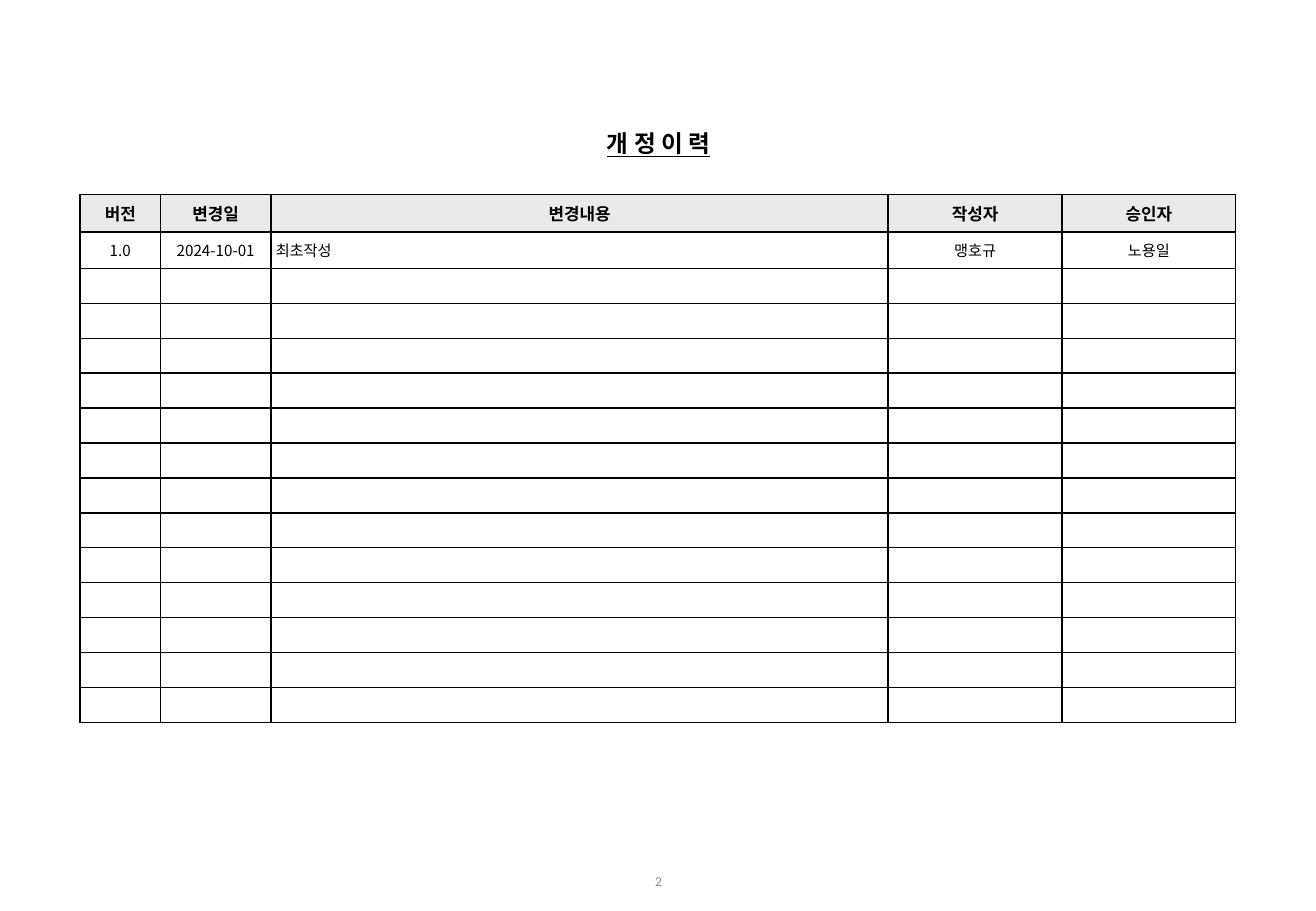
from dataclasses import dataclass

import lxml.etree
import pptx
import pptx.dml.color
import pptx.enum.text
import pptx.oxml.ns
import pptx.util

Inches = pptx.util.Inches
Align = pptx.enum.text.PP_ALIGN
Anchor = pptx.enum.text.MSO_ANCHOR
qn = pptx.oxml.ns.qn


@dataclass(frozen=True)
class Theme:
    ink: str = "000000"
    muted: str = "8C8C8C"
    header_fill: str = "EAEAEA"
    title_font: str = "Arial"
    table_font: str = "Noto Sans CJK KR"
    number_font: str = "Calibri"
    title_size: int = 14
    header_size: int = 10
    body_size: int = 9
    number_size: int = 8
    border: int = 1


THEME = Theme()
HEADERS = ["버전", "변경일", "변경내용", "작성자", "승인자"]
REVISIONS = [["1.0", "2024-10-01", "최초작성", "맹호규", "노용일"]]
BLANK_ROWS = 13
COLUMN_WIDTHS = [0.66, 0.91, 5.08, 1.43, 1.43]
HEADER_HEIGHT, REVISION_HEIGHT = 0.31, 0.3
DESCRIPTION_COLUMN = 2


def rgb(value):
    return pptx.dml.color.RGBColor.from_string(value)


def write(frame, text, font, size, color, bold=False, align=Align.CENTER):
    frame.text = text
    para = frame.paragraphs[0]
    para.alignment = align
    for span in para.runs:
        span.font.name = font
        span.font.size = pptx.util.Pt(size)
        span.font.bold = bold
        span.font.color.rgb = rgb(color)
        east_asian = lxml.etree.SubElement(span.font._element, qn("a:ea"))
        east_asian.set("typeface", THEME.table_font)
    if not para.runs:
        # An empty cell needs its own type size, or the row grows.
        end = lxml.etree.SubElement(para._p, qn("a:endParaRPr"))
        end.set("sz", str(size * 100))


def set_margins(target, side):
    target.margin_left = target.margin_right = Inches(side)
    target.margin_top = target.margin_bottom = 0


def add_borders(cell):
    properties = cell._tc.get_or_add_tcPr()
    for edge in ("lnL", "lnR", "lnT", "lnB"):
        line = lxml.etree.SubElement(properties, qn(f"a:{edge}"))
        line.set("w", str(pptx.util.Pt(THEME.border)))
        fill = lxml.etree.SubElement(line, qn("a:solidFill"))
        lxml.etree.SubElement(fill, qn("a:srgbClr")).set("val", THEME.ink)


def add_title(page, left, top, width, height):
    title = page.shapes.title
    title.left, title.top = Inches(left), Inches(top)
    title.width, title.height = Inches(width), Inches(height)
    frame = title.text_frame
    frame.auto_size = pptx.enum.text.MSO_AUTO_SIZE.NONE
    frame.vertical_anchor = Anchor.MIDDLE
    write(frame, "개 정 이 력", THEME.title_font, THEME.title_size,
          THEME.ink, bold=True)
    frame.paragraphs[0].runs[0].font.underline = True


def fill_cell(cell, text, is_header, align):
    set_margins(cell, 0.04)
    cell.vertical_anchor = Anchor.MIDDLE
    add_borders(cell)
    if is_header:
        cell.fill.solid()
        cell.fill.fore_color.rgb = rgb(THEME.header_fill)
    else:
        cell.fill.background()
    size = THEME.header_size if is_header else THEME.body_size
    write(cell.text_frame, text, THEME.table_font, size, THEME.ink,
          bold=is_header, align=align)


def add_revision_table(page, left, top, width, height):
    """Share the box's width by column ratio and the spare height among blank rows."""
    blank_height = (height - HEADER_HEIGHT
                    - REVISION_HEIGHT * len(REVISIONS)) / BLANK_ROWS
    heights = ([HEADER_HEIGHT] + [REVISION_HEIGHT] * len(REVISIONS)
               + [blank_height] * BLANK_ROWS)
    records = [HEADERS] + REVISIONS + [[""] * len(HEADERS)] * BLANK_ROWS
    table = page.shapes.add_table(
        len(records), len(HEADERS), Inches(left), Inches(top),
        Inches(width), Inches(height)).table
    scale = width / sum(COLUMN_WIDTHS)
    for column, share in zip(table.columns, COLUMN_WIDTHS):
        column.width = Inches(share * scale)
    for row_index, record in enumerate(records):
        table.rows[row_index].height = Inches(heights[row_index])
        is_header = row_index == 0
        for column_index, text in enumerate(record):
            is_description = column_index == DESCRIPTION_COLUMN and not is_header
            align = Align.LEFT if is_description else Align.CENTER
            fill_cell(table.cell(row_index, column_index), text, is_header, align)


def add_page_number(page, left, top, width, height):
    box = page.shapes.add_textbox(
        Inches(left), Inches(top), Inches(width), Inches(height))
    frame = box.text_frame
    frame.word_wrap = True
    set_margins(frame, 0)
    write(frame, "2", THEME.number_font, THEME.number_size, THEME.muted)


def main():
    deck = pptx.Presentation()
    deck.slide_width, deck.slide_height = Inches(10.83), Inches(7.5)
    page = deck.slides.add_slide(deck.slide_layouts.get_by_name("Title Only"))
    add_title(page, 0.42, 1.01, 10, 0.34)
    add_revision_table(page, 0.66, 1.6, 9.51, 4.35)
    add_page_number(page, 4.2, 7.19, 2.44, 0.19)
    deck.save("out.pptx")


if __name__ == "__main__":
    main()
